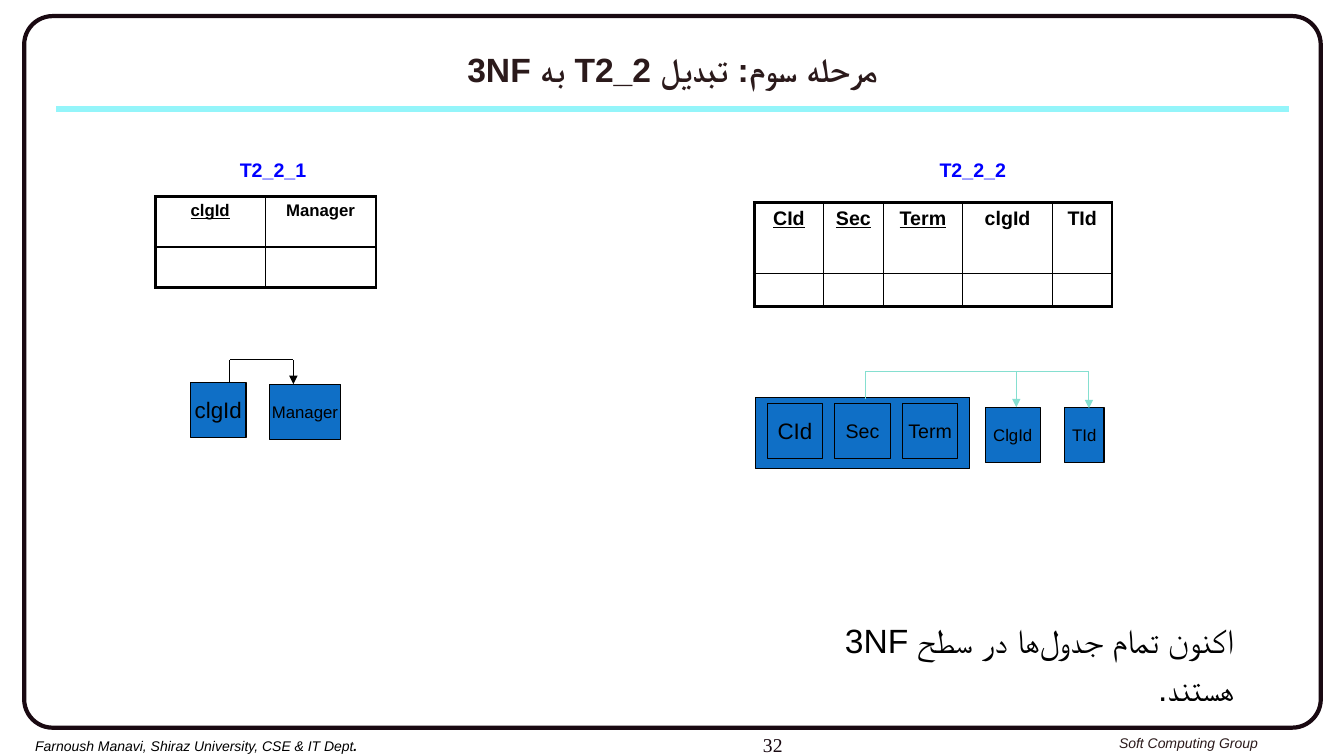
from lxml.etree import SubElement
from pptx import Presentation
from pptx.dml.color import RGBColor
from pptx.enum.shapes import MSO_CONNECTOR, MSO_SHAPE
from pptx.enum.text import MSO_ANCHOR, PP_ALIGN
from pptx.oxml.ns import qn
from pptx.util import Inches, Pt

COLORS = {
    "ink": "000000", "frame": "190911", "title": "2B1A1B", "rule": "94F5FA",
    "label": "0000FF", "box": "0F6FC6", "arrow": "85DFD0",
}
CELLS_PER_INCH = 10
HALF_SPACE = chr(0x200C)


def grid(cells):
    return Inches(cells / CELLS_PER_INCH)


def color(name):
    return RGBColor.from_string(COLORS[name])


class SlideBuilder:
    font = "Arial"
    thin, thick = 1, 2.25

    def __init__(self, slide):
        self.slide = slide

    def style(self, paragraph, size, ink="ink", align=PP_ALIGN.LEFT, bold=None,
              italic=None, underline=None, font=None, rtl=False):
        paragraph.alignment = align
        if rtl:
            paragraph._p.get_or_add_pPr().set("rtl", "1")
        face = paragraph.font
        face.name, face.size = font or self.font, Pt(size)
        face.bold, face.italic, face.underline = bold, italic, underline
        face.color.rgb = color(ink)
        if rtl:
            SubElement(face._element, qn("a:cs"), typeface=self.font)

    def text(self, area, runs, size, wrap=False, anchor=MSO_ANCHOR.TOP,
             spacing=None, **style):
        frame = self.slide.shapes.add_textbox(*map(grid, area)).text_frame
        frame.word_wrap, frame.vertical_anchor = wrap, anchor
        paragraph = frame.paragraphs[0]
        for words in runs:
            paragraph.add_run().text = words
        if spacing:
            paragraph.line_spacing = spacing
        self.style(paragraph, size, **style)
        return paragraph

    def box(self, area, words="", size=12, kind=MSO_SHAPE.RECTANGLE,
            fill="box", line="ink", weight=0.75):
        shape = self.slide.shapes.add_shape(kind, *map(grid, area))
        shape.shadow.inherit = False
        if fill:
            shape.fill.solid()
            shape.fill.fore_color.rgb = color(fill)
        else:
            shape.fill.background()
        shape.line.color.rgb, shape.line.width = color(line), Pt(weight)
        if words:
            frame = shape.text_frame
            frame.word_wrap, frame.vertical_anchor = False, MSO_ANCHOR.MIDDLE
            frame.text = words
            self.style(frame.paragraphs[0], size, align=PP_ALIGN.CENTER)
        return shape

    def line(self, start, end, ink, weight=0.75, arrow=False):
        connector = self.slide.shapes.add_connector(
            MSO_CONNECTOR.STRAIGHT, *map(grid, (*start, *end)))
        connector.line.color.rgb = color(ink)
        connector.line.width = Pt(weight)
        if arrow:
            SubElement(connector.line._get_or_add_ln(), qn("a:tailEnd"), type="triangle")
        SubElement(connector._element.spPr, qn("a:effectLst"))

    def dependency(self, source, bar, targets, ink):
        source_x, source_y = source
        self.line((source_x, bar), (source_x, source_y), ink)
        self.line((source_x, bar), (targets[-1][0], bar), ink)
        for target in targets:
            self.line((target[0], bar), target, ink, arrow=True)

    def borders(self, cell, outer):
        properties = cell._tc.get_or_add_tcPr()
        for place, (side, is_outer) in enumerate(outer.items()):
            weight = self.thick if is_outer else self.thin
            edge = SubElement(properties, qn(f"a:{side}"), w=str(Pt(weight)))
            SubElement(SubElement(edge, qn("a:solidFill")), qn("a:srgbClr"),
                       val=COLORS["ink"])
            properties.remove(edge)
            properties.insert(place, edge)

    def table(self, corner, widths, heights, headers, keys, size):
        area = (*corner, sum(widths), sum(heights))
        table = self.slide.shapes.add_table(
            len(heights), len(widths), *map(grid, area)).table
        table.first_row = table.horz_banding = False
        for column, width in zip(table.columns, widths):
            column.width = grid(width)
        for r, height in enumerate(heights):
            table.rows[r].height = grid(height)
            for c, header in enumerate(headers):
                cell = table.cell(r, c)
                cell.fill.background()
                if r == 0:
                    cell.text = header
                else:
                    cell.margin_top = cell.margin_bottom = grid(0.1)
                self.style(cell.text_frame.paragraphs[0], size, bold=True,
                           underline=r == 0 and c < keys, align=PP_ALIGN.CENTER)
                self.borders(cell, {
                    "lnL": c == 0, "lnR": c == len(widths) - 1,
                    "lnT": r == 0, "lnB": r == len(heights) - 1})


def main():
    presentation = Presentation()
    presentation.slide_width, presentation.slide_height = Inches(13.33), Inches(7.5)
    page = SlideBuilder(presentation.slides.add_slide(presentation.slide_layouts[6]))

    border = page.box((2.4, 1.6, 128.6, 70.6), kind=MSO_SHAPE.ROUNDED_RECTANGLE,
                      fill=None, line="frame", weight=3)
    border.adjustments[0] = 0.04
    page.line((5.6, 10.8), (127.8, 10.8), "rule", 4.5)
    page.text((110, 72.4, 15.9, 2.7), ["Soft Computing Group"], 10,
              ink="title", italic=True)
    author = page.text((2.5, 72.7, 34.8, 2.7),
                       ["Farnoush Manavi, Shiraz University, CSE & IT Dept", "."],
                       10, italic=True)
    author.runs[-1].font.bold = True
    page.text((61.1, 72.2, 31.1, 3.5), ["32"], 14, wrap=True, ink="frame",
              align=PP_ALIGN.CENTER, font="Times New Roman")
    page.text((5.6, 3.7, 122.2, 6.2), ["مرحله سوم: تبديل T2_2 به 3NF"], 24,
              wrap=True, anchor=MSO_ANCHOR.MIDDLE, ink="title", bold=True,
              align=PP_ALIGN.CENTER, rtl=True)

    for left, relation in ((22.8, "T2_2_1"), (92.2, "T2_2_2")):
        page.text((left, 15.2, 8.7, 3.3), [relation], 14, ink="label", bold=True)
    page.table((15.4, 19.5), (10.9, 11), (5, 4), ("clgId", "Manager"), 1, 12)
    page.table((74.8, 20.1), (6.9, 5.9, 7.9, 8.9, 5.9), (7, 3.3),
               ("CId", "Sec", "Term", "clgId", "TId"), 3, 14)

    side = 5.5
    page.box((18.9, 37.9, side, side), "clgId", 16)
    page.box((26.7, 38.1, 7.1, side), "Manager")
    page.dependency((22.8, 38), 35.7, [(29.1, 38.1)], "ink")

    page.box((74.9, 39.4, 21.3, 7.1))
    for place, (key, size) in enumerate((("CId", 16), ("Sec", 14), ("Term", 14))):
        page.box((76.1 + 6.7 * place, 40, side, side), key, size)
    page.box((97.7, 40.4, side, side), "ClgId")
    page.box((105.6, 40.4, 3.9, side), "TId")
    page.dependency((85.8, 39.6), 36.9, [(100.8, 40.4), (108, 40.5)], "arrow")

    conclusion = HALF_SPACE.join(("اکنون تمام جدول", "ها در سطح 3NF هستند."))
    page.text((76.3, 60.2, 47.1, 10.6), [conclusion], 24,
              wrap=True, spacing=1.2, align=PP_ALIGN.RIGHT, rtl=True)
    presentation.save("out.pptx")


if __name__ == "__main__":
    main()
